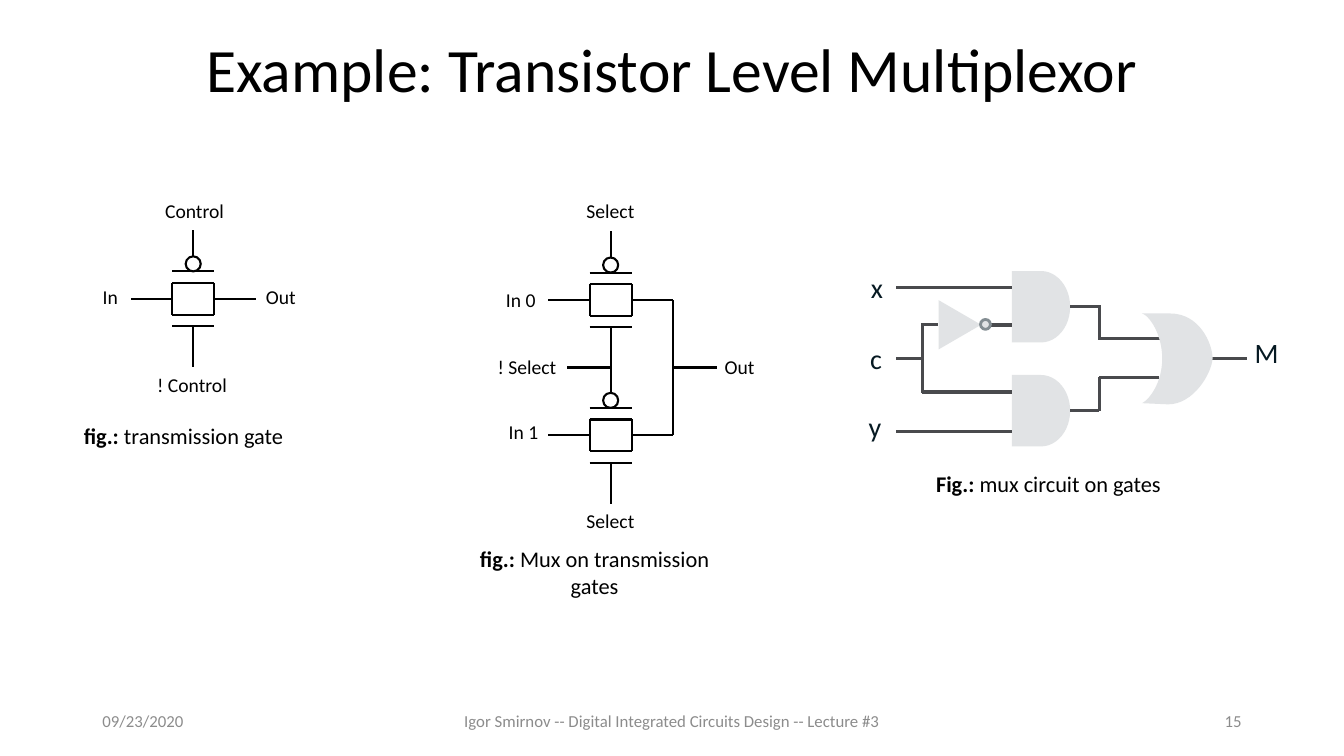
from lxml.etree import SubElement
from pptx import Presentation
from pptx.dml.color import RGBColor
from pptx.enum.shapes import MSO_CONNECTOR, MSO_SHAPE
from pptx.enum.text import MSO_ANCHOR, PP_ALIGN
from pptx.oxml.ns import qn
from pptx.util import Cm, Pt

BLACK = RGBColor(0x00, 0x00, 0x00)
WHITE = RGBColor(0xFF, 0xFF, 0xFF)
FOOTER_GRAY = RGBColor(0x8C, 0x8C, 0x8C)
GATE_GRAY = RGBColor(0xE1, 0xE3, 0xE5)
BUBBLE_GRAY = RGBColor(0x83, 0x8D, 0x92)
WIRE_GRAY = RGBColor(0x49, 0x4A, 0x4D)
INK = RGBColor(0x06, 0x19, 0x22)
FONT = "Calibri"
LABEL_H, CAPTION_H, PIN = 0.86, 0.94, 1.12


def add_text(s, text, x, y, w, h, size=14, color=BLACK, align=PP_ALIGN.LEFT,
             anchor=MSO_ANCHOR.TOP, wrap=False, lead="", spacing=None):
    tf = s.shapes.add_textbox(Cm(x), Cm(y), Cm(w), Cm(h)).text_frame
    tf.word_wrap = wrap
    tf.vertical_anchor = anchor
    p = tf.paragraphs[0]
    p.alignment = align
    p.line_spacing = spacing
    for part, bold in ((lead, True), (text, False)):
        if part:
            r = p.add_run()
            r.text = part
            r.font.name = FONT
            r.font.size = Pt(size)
            r.font.bold = bold
            r.font.color.rgb = color


def add_wire(s, x1, y1, x2, y2, color=BLACK, width=1.5):
    c = s.shapes.add_connector(MSO_CONNECTOR.STRAIGHT, Cm(x1), Cm(y1), Cm(x2), Cm(y2))
    c.line.color.rgb = color
    c.line.width = Pt(width)
    SubElement(c._element.spPr, qn("a:effectLst"))


def paint(sp, fill, line=None, width=1.5):
    sp.shadow.inherit = False
    sp.fill.solid()
    sp.fill.fore_color.rgb = fill
    if line is None:
        sp.line.fill.background()
    else:
        sp.line.color.rgb = line
        sp.line.width = Pt(width)


def add_preset(s, kind, x, y, w, h, fill, line=None, width=1.5, rotation=0):
    sp = s.shapes.add_shape(kind, Cm(x), Cm(y), Cm(w), Cm(h))
    sp.rotation = rotation
    paint(sp, fill, line, width)


def transmission_gate(s, cx, cy):
    half_w, half_h, plate, stem, reach, bubble = 0.53, 0.4, 0.69, 1.73, 1.57, 0.38
    for side in (-1, 1):
        edge_x, edge_y = cx + side * half_w, cy + side * half_h
        plate_y = cy + side * plate
        add_wire(s, cx - half_w, edge_y, cx + half_w, edge_y)
        add_wire(s, edge_x, cy - half_h, edge_x, cy + half_h)
        add_wire(s, cx - half_w, plate_y, cx + half_w, plate_y)
        add_wire(s, cx, plate_y, cx, cy + side * stem)
        add_wire(s, edge_x, cy, cx + side * reach, cy)
    add_preset(s, MSO_SHAPE.OVAL, cx - bubble / 2, cy - plate - bubble, bubble, bubble,
               WHITE, BLACK)


def bezier(p0, p1, p2, p3, steps=16):
    for i in range(1, steps + 1):
        t = i / steps
        u = 1 - t
        yield tuple(u**3 * a + 3 * u * u * t * b + 3 * u * t * t * c + t**3 * d
                    for a, b, c, d in zip(p0, p1, p2, p3))


def or_gate(s, x, y):
    top, tip, notch = (0.71, 0), (1.78, 1.14), (0.51, 1.14)
    pts = [(0, 0),
           *bezier((0, 0), (0.18, 0.05), (0.51, 0.51), notch),
           *bezier(notch, (0.51, 1.75), (0.18, 2.18), (0, 2.26)),
           (0.66, 2.29),
           *bezier((0.66, 2.29), (1.3, 2.29), (1.75, 1.52), tip),
           *bezier(tip, (1.78, 0.76), (1.45, 0), top)]
    fb = s.shapes.build_freeform(Cm(x + top[0]), Cm(y + top[1]))
    fb.add_line_segments([(Cm(x + px), Cm(y + py)) for px, py in pts])
    paint(fb.convert_to_shape(), GATE_GRAY)


def gate_figure(s, x, y, w):
    transmission_gate(s, x + 4.03, y + 2.65)
    for text, dx, dy, tw in (("Control", 3.07, 0, 2.01), ("! Control", 2.87, 4.39, 2.29),
                             ("In", 1.5, 2.18, 0.89), ("Out", 5.61, 2.18, 1.27)):
        add_text(s, text, x + dx, y + dy, tw, LABEL_H)
    add_text(s, " transmission gate", x, y + 5.64, w, CAPTION_H, size=16,
             align=PP_ALIGN.CENTER, wrap=True, lead="fig.:")


def mux_figure(s, x, y, w):
    cx, first, second, middle, bus = 4.19, 2.66, 6.07, 4.36, 5.76
    for cy in (first, second):
        transmission_gate(s, x + cx, y + cy)
    for x1, y1, x2, y2 in ((3.1, middle, cx, middle), (bus, first, bus, second),
                           (bus, middle, 6.86, middle)):
        add_wire(s, x + x1, y + y1, x + x2, y + y2)
    for text, dx, dy, tw in (("Select", 3.33, 0, 1.73), ("In 0", 1.3, 2.24, 1.27),
                             ("! Select", 1.09, 3.91, 2.01), ("Out", 6.81, 3.91, 1.27),
                             ("In 1", 1.37, 5.56, 1.27), ("Select", 3.33, 7.8, 1.73)):
        add_text(s, text, x + dx, y + dy, tw, LABEL_H)
    add_text(s, " Mux on transmission gates", x, y + 8.71, w, 1.63, size=16,
             align=PP_ALIGN.CENTER, wrap=True, lead="fig.:")


def circuit_figure(s, x, y):
    start, split, gate, gate_end, bend = 0.94, 1.6, 3.86, 5.33, 6.06
    for dy in (0.15, 2.77):
        add_preset(s, MSO_SHAPE.FLOWCHART_DELAY, x + gate, y + dy, 1.47, 1.8, GATE_GRAY)
    wires = ((start, 0.56, gate, 0.56), (start, 4.19, gate, 4.19),
             (start, 2.36, split, 2.36), (split, 1.47, split, 3.23),
             (split, 1.5, 2.01, 1.5), (3.07, 1.51, gate, 1.51), (split, 3.2, gate, 3.2),
             (gate_end, 1.04, bend, 1.04), (bend, 1.01, bend, 1.88),
             (bend, 1.85, 7.62, 1.85), (gate_end, 3.66, bend, 3.66),
             (bend, 3.69, bend, 2.81), (bend, 2.84, 7.57, 2.84), (8.84, 2.36, 9.78, 2.36))
    for x1, y1, x2, y2 in wires:
        add_wire(s, x + x1, y + y1, x + x2, y + y2, WIRE_GRAY, 2.25)
    add_preset(s, MSO_SHAPE.ISOSCELES_TRIANGLE, x + 1.93, y + 0.97, 1.24, 1.07,
               GATE_GRAY, rotation=90)
    add_preset(s, MSO_SHAPE.OVAL, x + 3.07, y + 1.37, 0.25, 0.25, GATE_GRAY, BUBBLE_GRAY, 2)
    or_gate(s, x + 7.14, y + 1.22)
    for text, dx, dy in (("x", 0.05, 0), ("c", 0.03, 1.8), ("y", 0, 3.51)):
        add_text(s, text, x + dx, y + dy, 0.82, PIN, size=20, color=INK,
                 align=PP_ALIGN.CENTER, anchor=MSO_ANCHOR.MIDDLE)
    add_text(s, "M", x + 9.73, y + 1.65, PIN, PIN, size=20, color=INK)
    add_text(s, "mux circuit on gates", x + 1.7, y + 5.03, 6.25, CAPTION_H, size=16,
             lead="Fig.: ")


def footer(s, x, y, w, h):
    side, center = 7.62, 11.43
    lecture = "Igor Smirnov -- Digital Integrated Circuits Design -- Lecture #3"
    for text, dx, tw, align in (("09/23/2020", 0, side, PP_ALIGN.LEFT),
                                (lecture, (w - center) / 2, center, PP_ALIGN.CENTER),
                                ("15", w - side, side, PP_ALIGN.RIGHT)):
        add_text(s, text, x + dx, y, tw, h, size=12, color=FOOTER_GRAY, align=align,
                 anchor=MSO_ANCHOR.MIDDLE, wrap=True)


prs = Presentation()
prs.slide_width, prs.slide_height = Cm(33.87), Cm(19.05)
s = prs.slides.add_slide(prs.slide_layouts[6])
add_text(s, "Example: Transistor Level Multiplexor", 2.33, 0, 29.21, 3.68, size=44,
         align=PP_ALIGN.CENTER, anchor=MSO_ANCHOR.MIDDLE, wrap=True, spacing=0.9)
footer(s, 2.33, 17.66, 29.21, 1.01)
gate_figure(s, 0.84, 4.88, 7.57)
mux_figure(s, 11.2, 4.9, 7.57)
circuit_figure(s, 21.64, 6.68)
prs.save("out.pptx")
